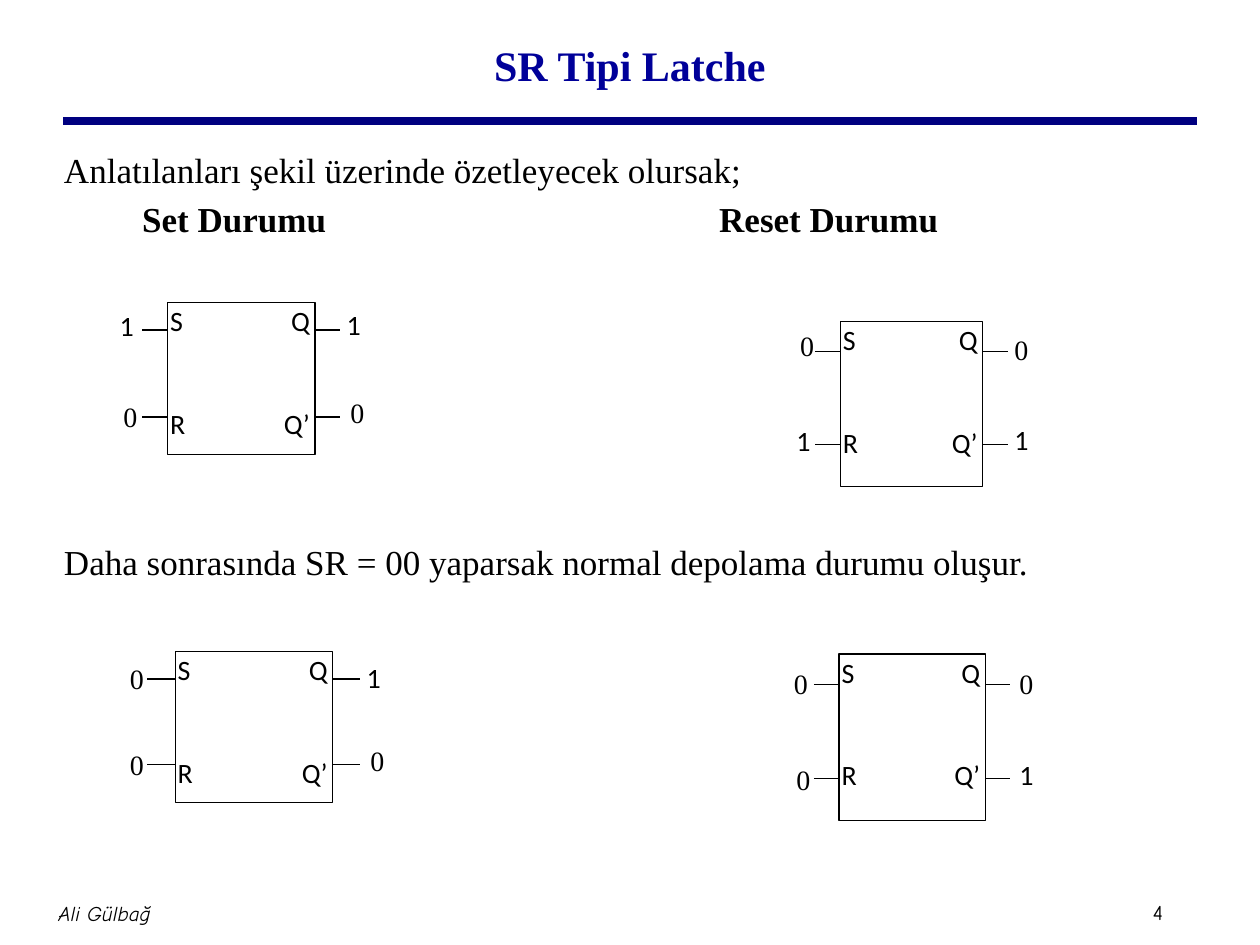
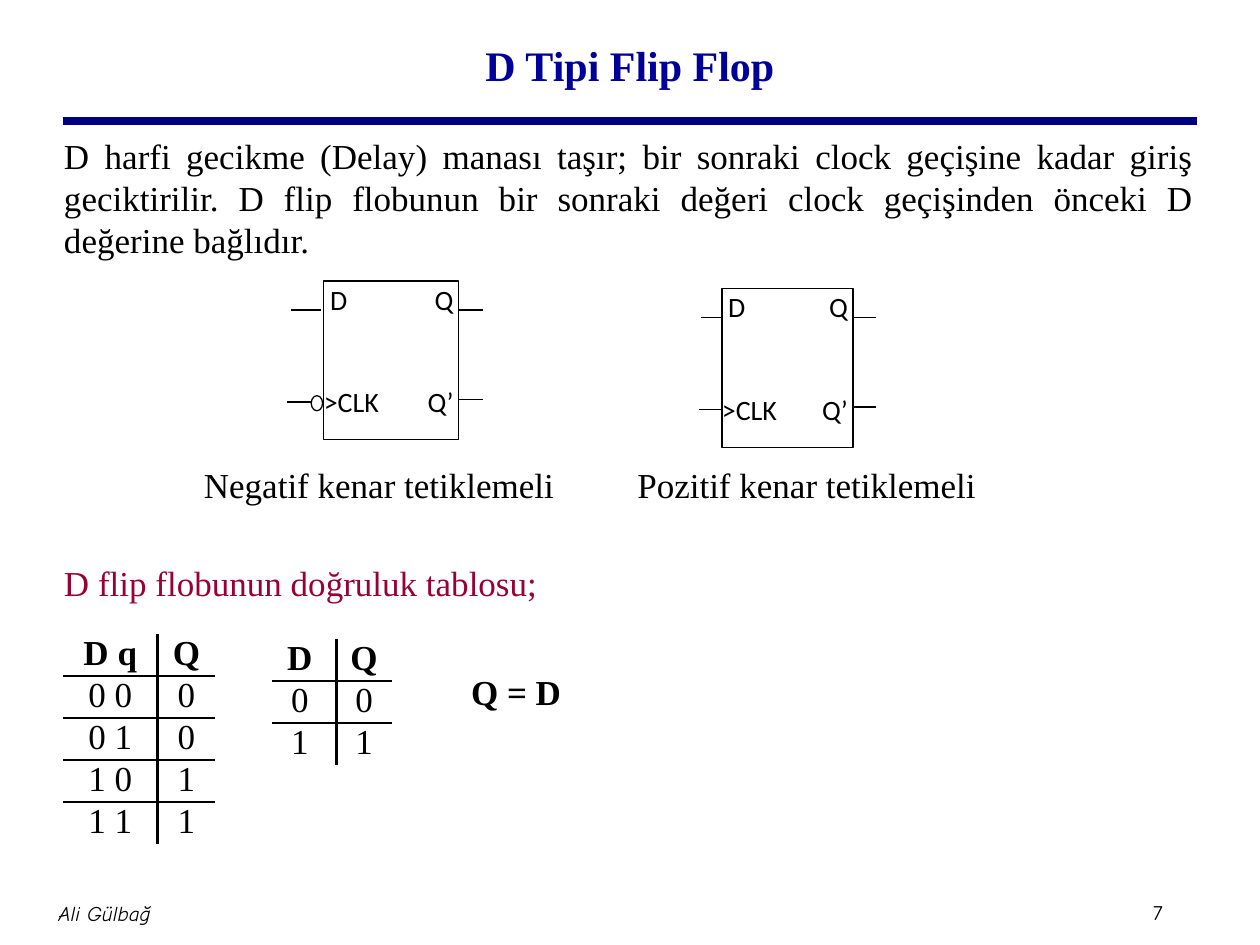
from itertools import product

from lxml.etree import SubElement
from pptx import Presentation
from pptx.dml.color import RGBColor
from pptx.enum.shapes import MSO_CONNECTOR as CONN, MSO_SHAPE as SHAPE
from pptx.enum.text import MSO_ANCHOR as ANCHOR, PP_ALIGN as ALIGN
from pptx.oxml.ns import qn
from pptx.util import Inches, Pt

BLACK, WHITE = "000000", "FFFFFF"
NAVY, TITLE_BLUE, CRIMSON = "000080", "000099", "990033"
SERIF, SANS, COMIC = "Times New Roman", "Calibri", "Comic Neue"
ROW_HEIGHT = 0.31


def rgb(color):
    return RGBColor.from_string(color)


def inches(values):
    return [Inches(v) for v in values]


def style(p, size, font, color=BLACK, bold=False, italic=False):
    for r in p.runs:
        f = r.font
        f.size, f.name, f.bold, f.italic = Pt(size), font, bold, italic
        f.color.rgb = rgb(color)


def set_insets(tf, insets):
    (tf.margin_left, tf.margin_top,
     tf.margin_right, tf.margin_bottom) = inches(insets)


def add_text(shapes, box, text, size, font, align=ALIGN.LEFT, wrap=True,
             anchor=ANCHOR.TOP, insets=(0.1, 0.05, 0.1, 0.05), **look):
    tf = shapes.add_textbox(*inches(box)).text_frame
    tf.word_wrap, tf.vertical_anchor = wrap, anchor
    set_insets(tf, insets)
    p = tf.paragraphs[0]
    p.text, p.alignment = text, align
    style(p, size, font, **look)
    return p


def add_body(slide, x, y, text, width=9.16, height=0.45, **look):
    p = add_text(slide.shapes, (x, y, width, height), text, 20, SERIF, **look)
    p.line_spacing = Pt(24)


def add_line(shapes, x1, y1, x2, y2, color=BLACK, width=0.75):
    line = shapes.add_connector(CONN.STRAIGHT, *inches((x1, y1, x2, y2)))
    line.line.color.rgb, line.line.width = rgb(color), Pt(width)
    SubElement(line._element.spPr, qn("a:effectLst"))


def add_outlined(shapes, kind, box):
    sp = shapes.add_shape(kind, *inches(box))
    sp.shadow.inherit = False
    sp.fill.solid()
    sp.fill.fore_color.rgb = rgb(WHITE)
    sp.line.color.rgb, sp.line.width = rgb(BLACK), Pt(0.75)
    return sp


def add_block(slide, box, pins, wires, inset):
    shapes = slide.shapes.add_group_shape().shapes
    tf = add_outlined(shapes, SHAPE.RECTANGLE, box).text_frame
    tf.word_wrap, tf.vertical_anchor = True, ANCHOR.TOP
    set_insets(tf, (inset, 0.01, 0.02, 0.01))
    tf.text = "\n".join(f"{left}\t{right}" for left, right in pins)
    for p, before in zip(tf.paragraphs, (0, 39.5)):
        p.alignment, p.space_before = ALIGN.LEFT, Pt(before)
        style(p, 16, SANS)
        tabs = SubElement(p._p.get_or_add_pPr(), qn("a:tabLst"))
        stop = Inches(box[2] - inset - 0.04)
        SubElement(tabs, qn("a:tab"), pos=str(stop), algn="r")
    for x1, x2, y in wires:
        add_line(shapes, x1, y, x2, y)
    return shapes


def add_latch(slide, box, wire_ys, stub, values):
    left, right = box[0], box[0] + box[2]
    sides = ((left - stub, left), (right, right + stub))
    wires = [(x1, x2, y) for (x1, x2), y in product(sides, wire_ys)]
    shapes = add_block(slide, box, (("S", "Q"), ("R", "Q’")), wires, 0.02)
    for text, x, y in values:
        add_text(shapes, (x, y, 0.38, 0.3), text, 16,
                 SANS if text == "1" else SERIF,
                 insets=(0.02, 0.04, 0.02, 0.01))


def set_border(cell, side, width):
    ln = SubElement(cell._tc.get_or_add_tcPr(), qn(f"a:ln{side}"),
                    w=str(Pt(width)))
    if width:
        fill = SubElement(ln, qn("a:solidFill"))
        SubElement(fill, qn("a:srgbClr"), val=BLACK)
    else:
        SubElement(ln, qn("a:noFill"))


def add_truth_table(slide, x, y, widths, rows):
    frame = slide.shapes.add_table(
        len(rows), len(widths),
        *inches((x, y, sum(widths), ROW_HEIGHT * len(rows))))
    table = frame.table
    table.first_row = table.horz_banding = False
    for column, width in zip(table.columns, widths):
        column.width = Inches(width)
    for i, row in enumerate(rows):
        table.rows[i].height = Inches(ROW_HEIGHT)
        for j, text in enumerate(row):
            cell = table.cell(i, j)
            set_insets(cell, (0.07, 0, 0.07, 0))
            set_border(cell, "L", 1.5 if j else 0)
            set_border(cell, "R", 0 if j else 1.5)
            set_border(cell, "T", 1 if i else 0)
            set_border(cell, "B", 1 if i < len(rows) - 1 else 0)
            cell.fill.background()
            cell.text = text
            p = cell.text_frame.paragraphs[0]
            p.alignment = ALIGN.CENTER
            style(p, 20, SERIF, bold=i == 0)


def new_slide(prs, title, number):
    slide = prs.slides.add_slide(prs.slide_layouts[6])
    shapes = slide.shapes
    footer = dict(anchor=ANCHOR.MIDDLE, insets=(0.05,) * 4)
    add_line(shapes, 0.5, 0.96, 9.5, 0.96, NAVY, 4.5)
    add_text(shapes, (9.1, 7.09, 0.47, 0.3), number, 12, COMIC, **footer)
    add_text(shapes, (-0.96, 7, 3.58, 0.5), "Ali Gülbağ", 12, COMIC,
             ALIGN.CENTER, italic=True, **footer)
    add_text(shapes, (0.75, 0.08, 8.5, 0.86), title, 24, SERIF, ALIGN.CENTER,
             anchor=ANCHOR.MIDDLE, color=TITLE_BLUE, bold=True)
    return slide


def build_latch_slide(prs):
    slide = new_slide(prs, "SR Tipi Latche", "4")
    add_body(slide, 0.41, 1.13, "Anlatılanları şekil üzerinde özetleyecek olursak;")
    add_body(slide, 1.03, 1.52, "Set Durumu", width=3, bold=True)
    add_body(slide, 5.61, 1.52, "Reset Durumu", width=3, bold=True)
    add_body(slide, 0.41, 4.24,
             "Daha sonrasında SR = 00 yaparsak normal depolama durumu oluşur.")
    add_latch(slide, (1.33, 2.4, 1.17, 1.21), (2.62, 3.31), 0.2,
              (("1", 0.93, 2.41), ("0", 0.96, 3.13),
               ("1", 2.73, 2.4), ("0", 2.76, 3.1)))
    add_latch(slide, (6.67, 2.55, 1.13, 1.31), (2.79, 3.53), 0.2,
              (("0", 6.33, 2.57), ("1", 6.3, 3.32),
               ("0", 8.03, 2.6), ("1", 8.03, 3.31)))
    add_latch(slide, (1.39, 5.17, 1.25, 1.2), (5.39, 6.07), 0.22,
              (("0", 1.01, 5.21), ("0", 1.01, 5.89),
               ("1", 2.89, 5.2), ("0", 2.92, 5.86)))
    add_latch(slide, (6.66, 5.19, 1.16, 1.32), (5.43, 6.18), 0.2,
              (("0", 6.28, 5.25), ("0", 6.3, 6.01),
               ("0", 8.07, 5.25), ("1", 8.07, 5.97)))


def build_flip_flop_slide(prs):
    slide = new_slide(prs, "D Tipi Flip Flop", "7")
    add_body(slide, 0.41, 1.02,
             "D harfi gecikme (Delay) manası taşır; bir sonraki clock geçişine "
             "kadar giriş geciktirilir. D flip flobunun bir sonraki değeri clock "
             "geçişinden önceki D değerine bağlıdır.",
             height=1.1, align=ALIGN.JUSTIFY)
    add_body(slide, 1.52, 3.63, "Negatif kenar tetiklemeli", width=3.3)
    add_body(slide, 4.96, 3.63, "Pozitif kenar tetiklemeli", width=3.3)
    add_body(slide, 0.41, 4.41, "D flip flobunun doğruluk tablosu;",
             color=CRIMSON)
    pins = ((" D", "Q"), (">CLK", "Q’"))
    negative = add_block(slide, (2.57, 2.23, 1.07, 1.26), pins,
                         ((2.31, 2.55, 2.46), (2.28, 2.47, 3.19),
                          (3.64, 3.83, 2.46), (3.64, 3.83, 3.17)), 0)
    add_outlined(negative, SHAPE.OVAL, (2.47, 3.14, 0.09, 0.12))
    add_block(slide, (5.73, 2.29, 1.04, 1.26), pins,
              ((5.56, 5.73, 2.52), (5.55, 5.73, 3.25),
               (6.77, 6.95, 2.52), (6.77, 6.95, 3.23)), 0)
    add_truth_table(slide, 0.5, 5.03, (0.75, 0.46),
                    (("D q", "Q"), ("0 0", "0"), ("0 1", "0"),
                     ("1 0", "1"), ("1 1", "1")))
    add_truth_table(slide, 2.16, 5.07, (0.51, 0.44),
                    (("D ", "Q"), ("0 ", "0"), ("1 ", "1")))
    add_text(slide.shapes, (3.64, 5.27, 0.92, 0.44), "Q = D", 20, SERIF,
             wrap=False, bold=True)


def main():
    prs = Presentation()
    prs.slide_width, prs.slide_height = Inches(10), Inches(7.5)
    build_latch_slide(prs)
    build_flip_flop_slide(prs)
    prs.save("out.pptx")


main()
